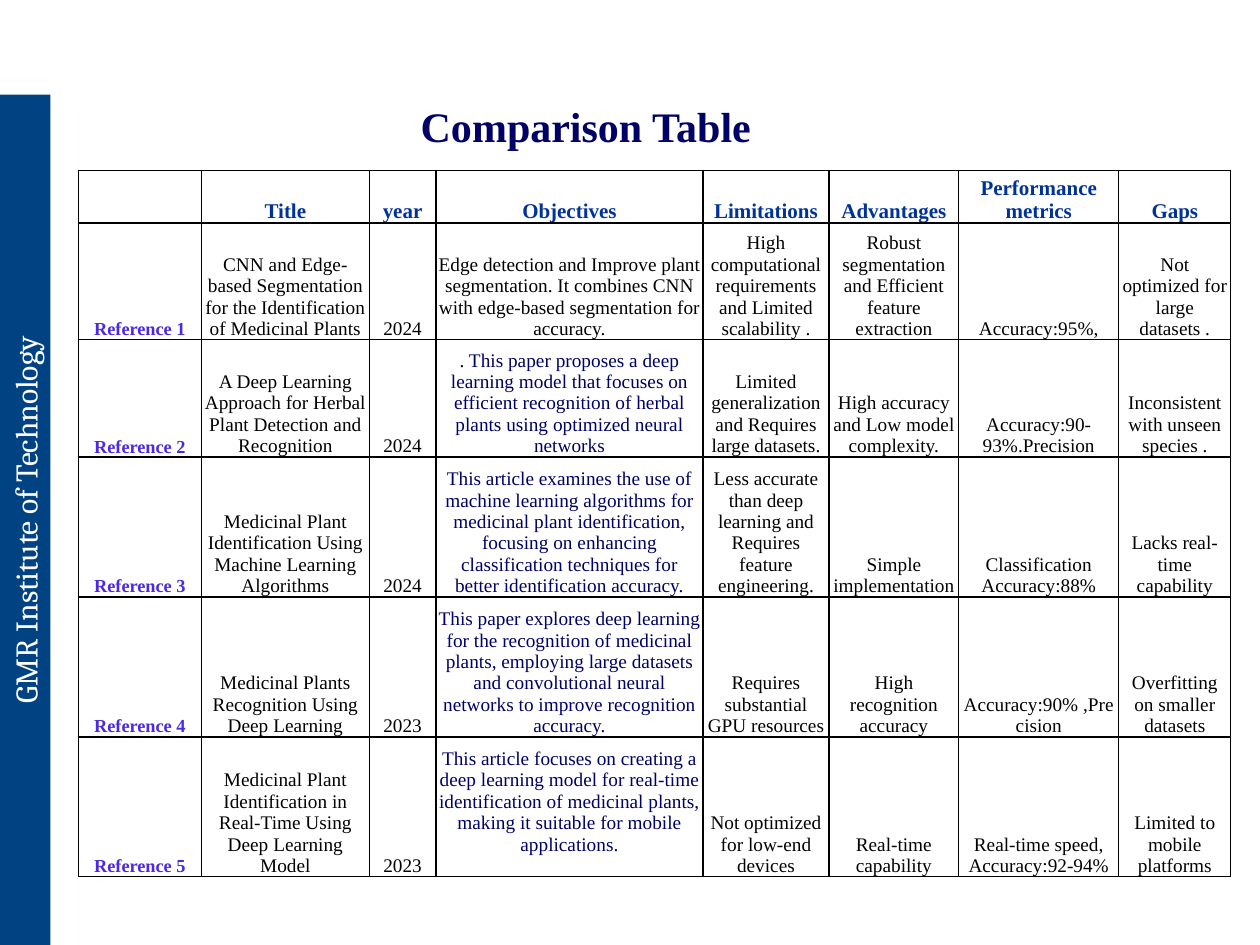
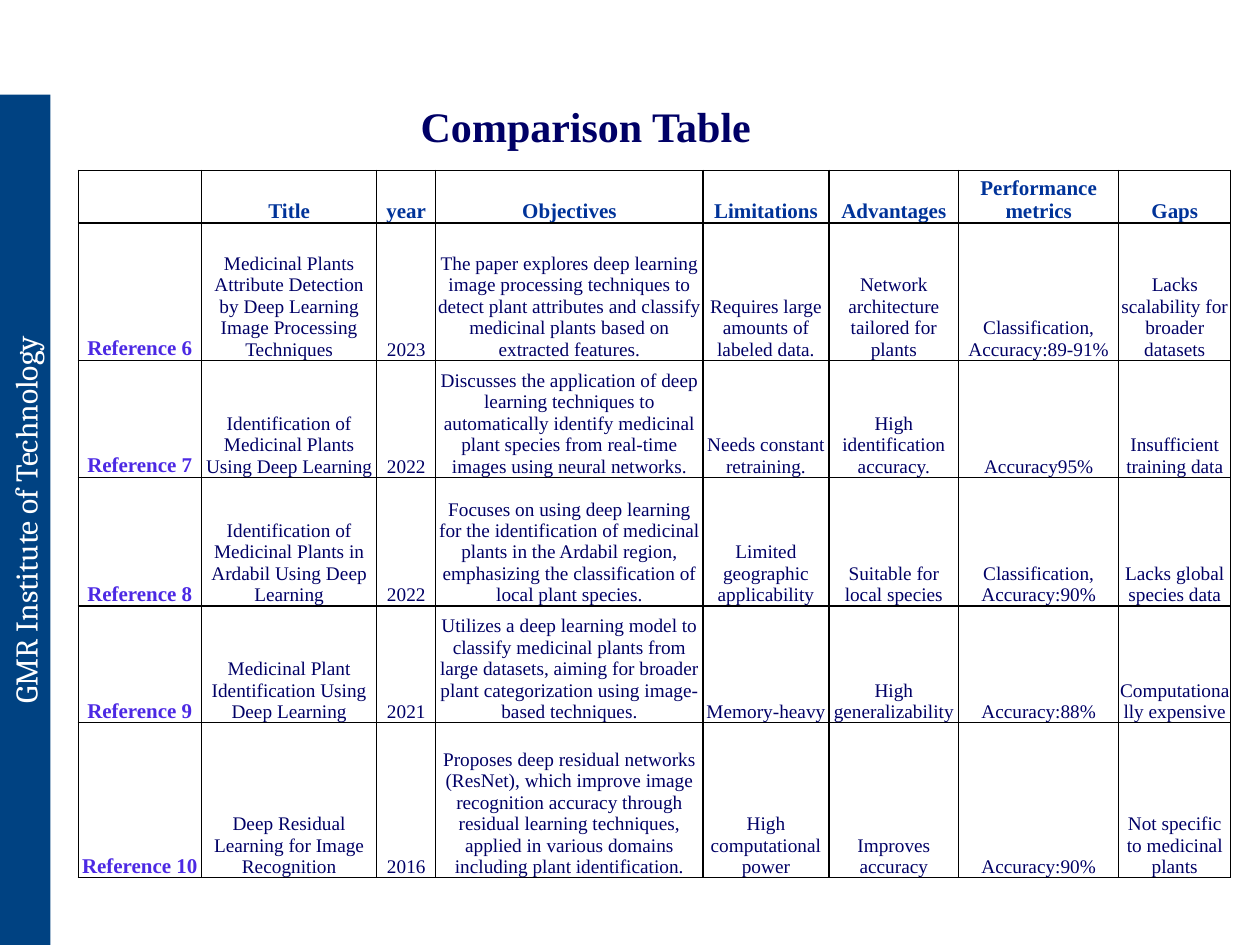
from lxml import etree
from pptx import Presentation, util as u
from pptx.dml.color import RGBColor
from pptx.enum import shapes, text
from pptx.oxml.ns import qn

NAVY, BLUE, VIOLET, BLACK, WHITE = "000066", "003399", "4C29E4", "000000", "FFFFFF"
BAND = "004282"
SERIF, BAND_FONT = "Times New Roman", "Cambria"
GRID_COLS, GRID_ROWS = 100, 75
NBSP = chr(160)

HEADINGS = ["", "Title", "year", "Objectives", "Limitations", "Advantages",
            "Performance metrics", "Gaps"]

FIRST_PAPERS = [
    ["Reference 1",
     "CNN and Edge-based Segmentation for the Identification of Medicinal Plants",
     "2024",
     "Edge detection and Improve plant segmentation. It combines CNN with "
     "edge-based segmentation for accuracy.",
     "High computational requirements and Limited scalability .",
     "Robust segmentation and Efficient feature extraction",
     "Accuracy:95%,",
     "Not optimized for large datasets ."],
    ["Reference 2",
     "A Deep Learning Approach for Herbal Plant Detection and Recognition",
     "2024",
     [(".", BLACK),
      (" This paper proposes a deep learning model that focuses on efficient "
       "recognition of herbal plants using optimized neural networks", NAVY)],
     "Limited generalization and Requires large datasets.",
     "High accuracy and Low model complexity.",
     "Accuracy:90-93%.Precision",
     "Inconsistent with unseen species ."],
    ["Reference 3",
     "Medicinal Plant Identification Using Machine Learning Algorithms",
     "2024",
     [("This article examines the use of machine learning algorithms for medicinal "
       "plant identification, focusing on enhancing classification techniques for "
       "better identification accuracy.", NAVY)],
     "Less accurate than deep learning and Requires feature engineering.",
     "Simple implementation",
     "Classification Accuracy:88%",
     "Lacks real-time capability"],
    ["Reference 4",
     "Medicinal Plants Recognition Using Deep Learning",
     "2023",
     [("This paper explores deep learning for the recognition of medicinal plants, "
       "employing large datasets and convolutional neural networks to improve "
       "recognition accuracy.", NAVY)],
     "Requires substantial GPU resources",
     "High recognition accuracy",
     f"Accuracy:90%{NBSP},Precision",
     "Overfitting on smaller datasets"],
    ["Reference 5",
     "Medicinal Plant Identification in Real-Time Using Deep Learning Model",
     "2023",
     [("This article focuses on creating a deep learning model for real-time "
       "identification of medicinal plants, making it suitable for mobile "
       "applications.", NAVY)],
     "Not optimized for low-end devices",
     "Real-time capability",
     "Real-time speed, Accuracy:92-94%",
     "Limited to mobile platforms"],
]

SECOND_PAPERS = [
    ["Reference 6",
     "Medicinal Plants Attribute Detection by Deep Learning Image Processing Techniques",
     "2023",
     "The paper explores deep learning image processing techniques to detect plant "
     "attributes and classify medicinal plants based on extracted features.",
     "Requires large amounts of labeled data.",
     "Network architecture tailored for plants",
     "Classification, Accuracy:89-91%",
     "Lacks scalability for broader datasets"],
    ["Reference 7",
     "Identification of Medicinal Plants Using Deep Learning",
     "2022",
     "Discusses the application of deep learning techniques to automatically identify "
     "medicinal plant species from real-time images using neural networks.",
     "Needs constant retraining.",
     "High identification accuracy.",
     "Accuracy95%",
     "Insufficient training data"],
    ["Reference 8",
     "Identification of Medicinal Plants in Ardabil Using Deep Learning",
     "2022",
     "Focuses on using deep learning for the identification of medicinal plants in the "
     "Ardabil region, emphasizing the classification of local plant species.",
     "Limited geographic applicability",
     "Suitable for local species",
     "Classification, Accuracy:90%",
     "Lacks global species data"],
    ["Reference 9",
     "Medicinal Plant Identification Using Deep Learning",
     "2021",
     "Utilizes a deep learning model to classify medicinal plants from large datasets, "
     "aiming for broader plant categorization using image-based techniques.",
     "Memory-heavy",
     "High generalizability",
     "Accuracy:88%",
     "Computationally expensive"],
    ["Reference 10",
     "Deep Residual Learning for Image Recognition",
     "2016",
     "Proposes deep residual networks (ResNet), which improve image recognition accuracy "
     "through residual learning techniques, applied in various domains including plant "
     "identification.",
     "High computational power",
     "Improves accuracy",
     "Accuracy:90%",
     "Not specific to medicinal plants"],
]


def rgb(value):
    return RGBColor.from_string(value)


class Deck:
    def __init__(self):
        self.prs = Presentation()
        self.prs.slide_width, self.prs.slide_height = u.Inches(10), u.Inches(7.5)

    def x(self, cols):
        return round(self.prs.slide_width * cols / GRID_COLS)

    def y(self, rows):
        return round(self.prs.slide_height * rows / GRID_ROWS)

    def box(self, left, top, width, height):
        return self.x(left), self.y(top), self.x(width), self.y(height)

    def put_text(self, tf, content, size, color, bold=False, font=SERIF, centered=True):
        p = tf.paragraphs[0]
        p.alignment = text.PP_ALIGN.CENTER if centered else text.PP_ALIGN.LEFT
        parts = [(content, color)] if isinstance(content, str) else content
        for words, part_color in parts:
            r = p.add_run()
            r.text = words
            r.font.name, r.font.size, r.font.bold = font, u.Pt(size), bold
            r.font.color.rgb = rgb(part_color)

    def new_slide(self):
        self.s = self.prs.slides.add_slide(self.prs.slide_layouts[6])
        self.side_band("GMR Institute of Technology")
        self.title("Comparison Table")

    def side_band(self, words):
        sp = self.s.shapes.add_shape(shapes.MSO_SHAPE.RECTANGLE,
                                     *self.box(-31.75, 39.25, 67.5, 4))
        sp.rotation = 270
        sp.shadow.inherit = False
        sp.fill.solid()
        sp.fill.fore_color.rgb = rgb(BAND)
        sp.line.fill.background()
        sp.text_frame.vertical_anchor = text.MSO_ANCHOR.TOP
        self.put_text(sp.text_frame, words, 18, WHITE, font=BAND_FONT)

    def title(self, words):
        sp = self.s.shapes.add_textbox(*self.box(32.4, 7.5, 28.8, 5))
        sp.text_frame.word_wrap = True
        self.put_text(sp.text_frame, words, 24, NAVY, bold=True, centered=False)

    def border(self, cell):
        tc_pr = cell._tc.get_or_add_tcPr()
        for i, side in enumerate(("lnL", "lnR", "lnT", "lnB")):
            ln = etree.Element(qn(f"a:{side}"), w=str(u.Pt(0.75)))
            fill = etree.SubElement(ln, qn("a:solidFill"))
            etree.SubElement(fill, qn("a:srgbClr"), val=BLACK)
            tc_pr.insert(i, ln)

    def table(self, papers, widths, heights, reference_size, body_color):
        rows = [HEADINGS] + papers
        frame = self.s.shapes.add_table(len(rows), len(widths),
                                        *self.box(6.2, 13.5, sum(widths), sum(heights)))
        table = frame.table
        table.first_row = table.horz_banding = False
        for column, width in zip(table.columns, widths):
            column.width = self.x(width)
        for i, (row, height) in enumerate(zip(rows, heights)):
            table.rows[i].height = self.y(height)
            for j, content in enumerate(row):
                cell = table.cell(i, j)
                cell.fill.background()
                self.border(cell)
                cell.margin_left = cell.margin_right = cell.margin_top = self.x(0.1)
                cell.margin_bottom = 0
                cell.vertical_anchor = text.MSO_ANCHOR.BOTTOM
                if i == 0:
                    style = 12, BLUE, True
                elif j == 0:
                    style = reference_size, VIOLET, True
                else:
                    style = 11, body_color, False
                if content:
                    self.put_text(cell.text_frame, content, *style)
        return table


def main():
    deck = Deck()
    shared_widths = [21.2, 10, 10.3, 12.7, 8.9]

    deck.new_slide()
    table = deck.table(FIRST_PAPERS, [9.8, 13.3, 5.3] + shared_widths,
                       [4.2, 9.2, 9.3, 11.1, 11, 11.1], 10.5, BLACK)
    table.cell(5, 3).margin_bottom = deck.y(1.7)

    deck.new_slide()
    deck.table(SECOND_PAPERS, [9.8, 13.9, 4.7] + shared_widths,
               [4.2, 10.9, 9.3, 10.2, 9.2, 12.3], 12, NAVY)

    deck.prs.save("out.pptx")


if __name__ == "__main__":
    main()
